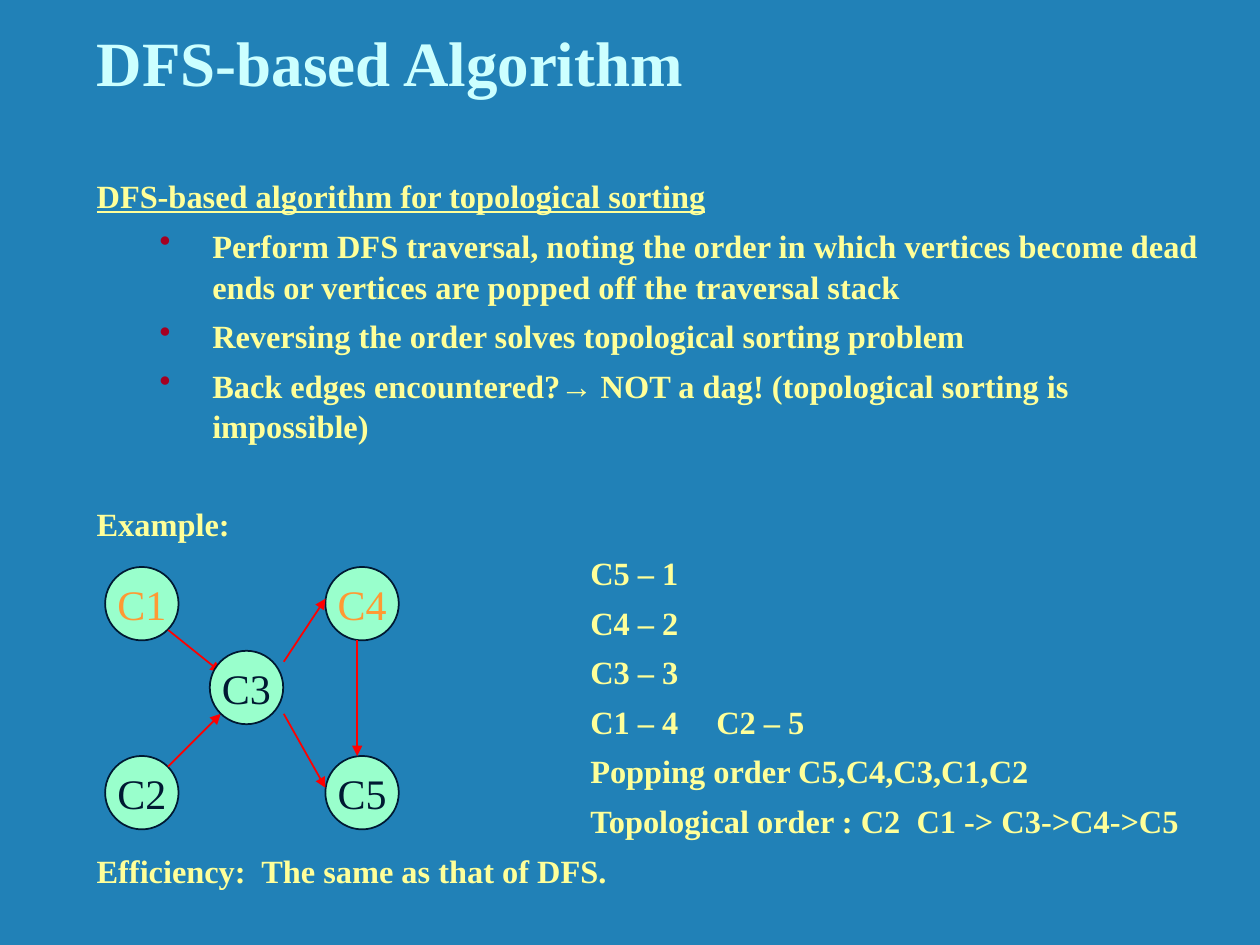
from lxml.etree import SubElement
from pptx import Presentation
from pptx.dml.color import RGBColor
from pptx.enum.shapes import MSO_CONNECTOR, MSO_SHAPE
from pptx.enum.text import MSO_ANCHOR as Anchor, MSO_AUTO_SIZE as AutoSize, PP_ALIGN as Align
from pptx.oxml.ns import qn
from pptx.util import Cm, Pt

BLUE = RGBColor(0x21, 0x81, 0xB7)
ICE = RGBColor(0xCC, 0xFF, 0xFF)
CREAM = RGBColor(0xFF, 0xFF, 0x99)
MINT = RGBColor(0x99, 0xFF, 0xCC)
NAVY = RGBColor(0x00, 0x19, 0x32)
ORANGE = RGBColor(0xFF, 0x99, 0x33)
RED = RGBColor(0xFF, 0x00, 0x00)
CRIMSON = RGBColor(0xA5, 0x00, 0x21)

TITLE = "DFS-based Algorithm"
HEADING = "DFS-based algorithm for topological sorting"
STEPS = [
    "Perform DFS traversal, noting the order in which vertices become dead ends "
    "or vertices are popped off the traversal stack",
    "Reversing the order solves topological sorting problem",
    "Back edges encountered?→ NOT a dag! (topological sorting is impossible)",
]
EXAMPLE = "Example:"
RESULTS = [
    "C5 – 1",
    "C4 – 2",
    "C3 – 3",
    "C1 – 4\tC2 – 5",
    "Popping order C5,C4,C3,C1,C2",
    "Topological order : C2  C1 -> C3->C4->C5",
]
EFFICIENCY = "Efficiency:  The same as that of DFS."

COLUMNS = (2.12, 4.23, 6.56)
ROWS = (11.43, 13.12, 15.24)
DIAMETER = 1.48
OUTER_VERTICES = [("C1", 0, 0, ORANGE), ("C4", 2, 0, ORANGE), ("C2", 0, 2, NAVY), ("C5", 2, 2, NAVY)]
CENTRE_VERTEX = ("C3", 1, 1, NAVY)
EDGES = [
    ((5.72, 13.34), (6.56, 12.07)),
    ((3.39, 15.45), (4.45, 14.39)),
    ((5.72, 14.39), (6.56, 15.88)),
    ((7.2, 12.91), (7.2, 15.24)),
    ((3.39, 12.7), (4.45, 13.55)),
]

LINE_SPACING = 1.05
GAP = 5
SECTION_GAP = 32.2


def write(frame, text, size=18.5, color=CREAM, bold=True, underline=False, align=Align.LEFT,
          before=None, spacing=None, margin=0, hanging=0, bullet=False, tab=None):
    paragraph = frame.paragraphs[0] if not frame.text else frame.add_paragraph()
    paragraph.alignment = align
    if before is not None:
        paragraph.space_before = Pt(before)
    if spacing is not None:
        paragraph.line_spacing = spacing
    properties = paragraph._p.get_or_add_pPr()
    properties.set("marL", str(Cm(margin)))
    properties.set("indent", str(-Cm(hanging)))
    if bullet:
        bullet_color = SubElement(properties, qn("a:buClr"))
        SubElement(bullet_color, qn("a:srgbClr"), val=str(CRIMSON))
        SubElement(properties, qn("a:buChar"), char="•")
    if tab is not None:
        stops = SubElement(properties, qn("a:tabLst"))
        SubElement(stops, qn("a:tab"), pos=str(Cm(tab)), algn="l")
    paragraph.text = text
    for run in paragraph.runs:
        font = run.font
        font.name = "Times New Roman"
        font.size = Pt(size)
        font.bold = bold
        font.underline = underline
        font.color.rgb = color


def add_vertex(shapes, label, column, row, color):
    vertex = shapes.add_shape(MSO_SHAPE.OVAL, Cm(COLUMNS[column]), Cm(ROWS[row]), Cm(DIAMETER), Cm(DIAMETER))
    vertex.shadow.inherit = False
    vertex.fill.solid()
    vertex.fill.fore_color.rgb = MINT
    vertex.line.color.rgb = NAVY
    vertex.line.width = Pt(1)
    frame = vertex.text_frame
    frame.word_wrap = False
    frame.vertical_anchor = Anchor.MIDDLE
    write(frame, label, size=24, color=color, bold=False, align=Align.CENTER)


def add_edge(shapes, start, end):
    edge = shapes.add_connector(MSO_CONNECTOR.STRAIGHT, *map(Cm, start + end))
    edge.line.color.rgb = RED
    edge.line.width = Pt(1)
    SubElement(edge.line._get_or_add_ln(), qn("a:tailEnd"), type="triangle")
    SubElement(edge._element.spPr, qn("a:effectLst"))


def main():
    deck = Presentation()
    deck.slide_width, deck.slide_height = Cm(25.4), Cm(19.05)
    slide = deck.slides.add_slide(deck.slide_layouts[5])
    shapes = slide.shapes
    slide.background.fill.solid()
    slide.background.fill.fore_color.rgb = BLUE

    title = shapes.title
    title.left, title.top, title.width, title.height = Cm(1.7), Cm(0.42), Cm(22.65), Cm(1.7)
    title.text_frame.auto_size = AutoSize.NONE
    title.text_frame.vertical_anchor = Anchor.BOTTOM
    write(title.text_frame, TITLE, size=36, color=ICE)

    body = shapes.add_textbox(Cm(1.7), Cm(3.39), Cm(23.07), Cm(15.11)).text_frame
    body.word_wrap = True
    write(body, HEADING, underline=True, spacing=LINE_SPACING)
    for step in STEPS:
        write(body, step, before=GAP, spacing=LINE_SPACING, margin=2.33, hanging=1.06, bullet=True)
    write(body, EXAMPLE, before=SECTION_GAP, spacing=LINE_SPACING)
    for result in RESULTS:
        write(body, result, before=GAP, spacing=LINE_SPACING, margin=9.95, tab=2.26)
    write(body, EFFICIENCY, before=GAP, spacing=LINE_SPACING)

    for vertex in OUTER_VERTICES:
        add_vertex(shapes, *vertex)
    for start, end in EDGES:
        add_edge(shapes, start, end)
    add_vertex(shapes, *CENTRE_VERTEX)

    deck.save("out.pptx")


if __name__ == "__main__":
    main()
